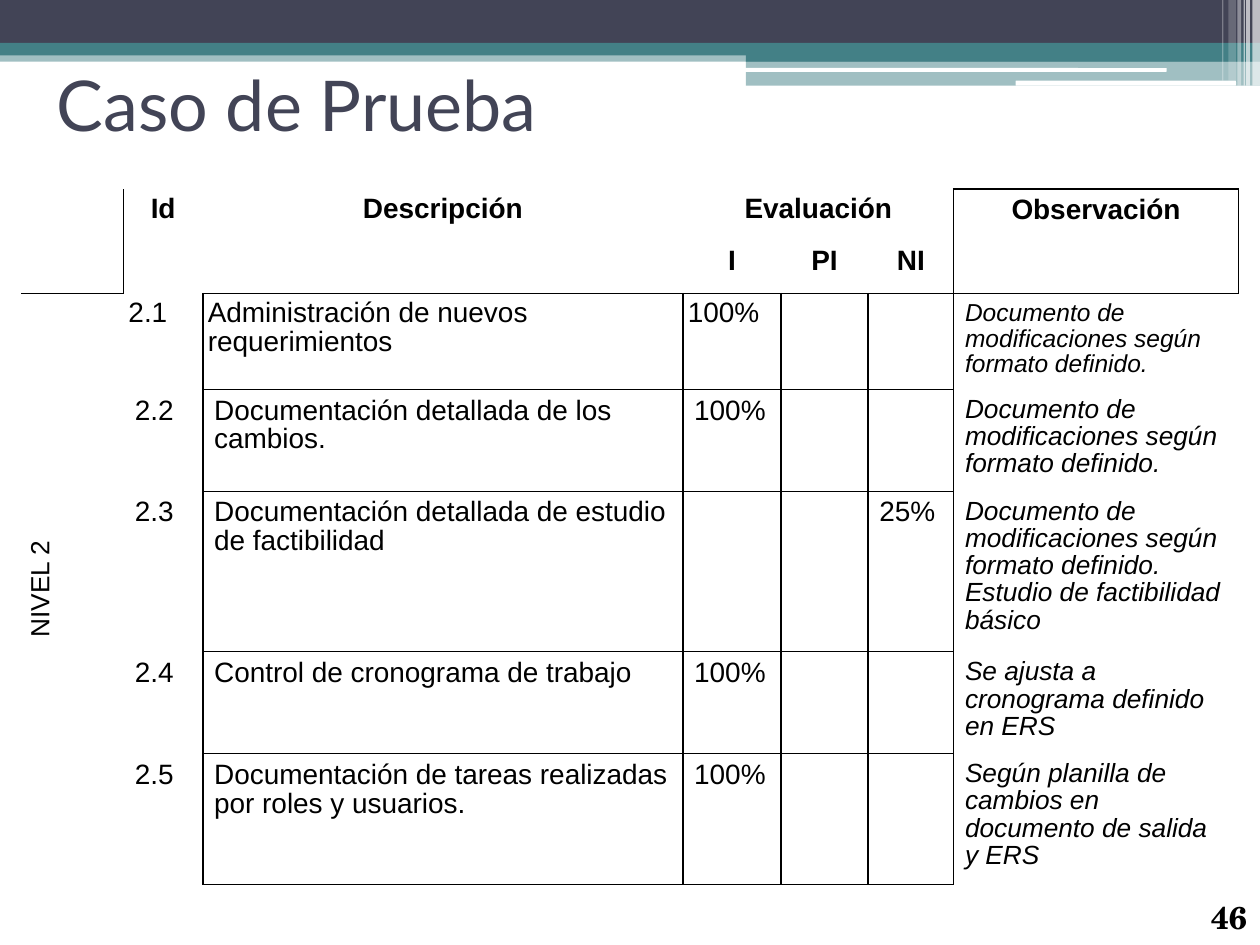
from dataclasses import dataclass

from lxml.etree import SubElement
from pptx import Presentation
from pptx.dml.color import RGBColor
from pptx.enum.shapes import MSO_SHAPE
from pptx.enum.text import MSO_ANCHOR, PP_ALIGN
from pptx.oxml import parse_xml
from pptx.oxml.ns import nsdecls, qn
from pptx.util import Inches, Pt


@dataclass(frozen=True)
class Theme:
    """Colours, fonts and type sizes of the slide."""
    dark: str = "424456"
    teal: str = "438086"
    white: str = "FFFFFF"
    ink: str = "000000"
    title_font: str = "Lato"
    body_font: str = "Arial"
    number_font: str = "TeX Gyre Schola"
    title: int = 40
    number: int = 18
    body: int = 16
    note: int = 15
    small_note: int = 14


T = Theme()
WIDTH, HEIGHT = Inches(10), Inches(7.5)
GRID_COLS, GRID_ROWS = 1000, 750
TIGHT = (0.04, 0.05, 0.04, 0.04)
LOOSE = (0.09, 0.06, 0.09, 0.05)

BANDS = [
    (0, 40, 1000, 9, T.teal, 50),
    (0, 0, 1000, 34, T.dark, 100),
    (0, 34, 1000, 10, T.teal, 100),
    (592, 39, 408, 10, T.teal, 100),
    (592, 48, 408, 20, T.teal, 50),
]
PILLS = [(591, 54, 335, 3), (806, 64, 175, 4)]
STRIPES = [
    (994, 0, 6, 68, T.white, 65),
    (989, 0, 3, 68, T.white, 65),
    (987, 0, 1, 68, T.white, 60),
    (982, 0, 3, 68, T.white, 40),
    (975, 0, 6, 64, T.white, 20),
    (970, 0, 1, 64, T.white, 30),
]
COL_WIDTHS = [81, 63, 381, 78, 69, 68, 226]
ROW_HEIGHTS = [41, 42, 74, 78, 123, 78, 97]
MERGES = [(0, 1, 1, 1), (0, 2, 1, 2), (0, 3, 0, 5), (0, 6, 1, 6), (2, 0, 6, 0)]
MODIFICATIONS = "Documento de modificaciones según formato definido."
ROWS = [
    ["", "Id", "Descripción", "Evaluación", "", "", "Observación"],
    ["", "", "", "I", "PI", "NI", ""],
    ["NIVEL 2", "2.1", "Administración de nuevos requerimientos", "100%", "", "",
     MODIFICATIONS],
    ["", "2.2", "Documentación detallada de los cambios.", "100%", "", "",
     MODIFICATIONS],
    ["", "2.3", "Documentación detallada de estudio de factibilidad", "", "", "25%",
     MODIFICATIONS + " Estudio de factibilidad básico"],
    ["", "2.4", "Control de cronograma de trabajo", "100%", "", "",
     "Se ajusta a cronograma definido en ERS"],
    ["", "2.5", "Documentación de tareas realizadas por roles y usuarios.", "100%", "", "",
     "Según planilla de cambios en documento de salida y ERS"],
]


def across(cols):
    """Return the width of a number of grid columns."""
    return WIDTH * cols // GRID_COLS


def down(rows):
    """Return the height of a number of grid rows."""
    return HEIGHT * rows // GRID_ROWS


def place(x, y, w, h):
    """Turn a grid position into slide lengths."""
    return across(x), down(y), across(w), down(h)


def write(tf, text, font=T.body_font, size=T.body, color=T.ink, bold=False,
          italic=False, align=PP_ALIGN.LEFT, spacing=None):
    """Put one formatted run into a text frame."""
    p = tf.paragraphs[0]
    p.alignment = align
    p.line_spacing = spacing
    r = p.add_run()
    r.text = text
    r.font.name, r.font.size = font, Pt(size)
    r.font.bold, r.font.italic = bold, italic
    r.font.color.rgb = RGBColor.from_string(color)


def set_margins(box, insets):
    """Set the left, top, right and bottom insets of a cell or text frame."""
    (box.margin_left, box.margin_top,
     box.margin_right, box.margin_bottom) = map(Inches, insets)


def add_bar(slide, x, y, w, h, color, opacity=100, kind=MSO_SHAPE.RECTANGLE):
    """Add a borderless bar with a given opacity in percent."""
    sp = slide.shapes.add_shape(kind, *place(x, y, w, h))
    sp.shadow.inherit = False
    sp.line.fill.background()
    sp.fill.solid()
    sp.fill.fore_color.rgb = RGBColor.from_string(color)
    if opacity < 100:
        clr = sp.fill._xPr.find(".//" + qn("a:srgbClr"))
        SubElement(clr, qn("a:alpha"), val=str(opacity * 1000))


def add_label(slide, at, text, insets, anchor=MSO_ANCHOR.TOP, wrap=True, **fmt):
    """Add a text box holding one formatted line."""
    tf = slide.shapes.add_textbox(*place(*at)).text_frame
    tf.word_wrap = wrap
    tf.vertical_anchor = anchor
    set_margins(tf, insets)
    write(tf, text, **fmt)


def is_framed(row, col):
    """Tell whether a cell is ruled on every side."""
    return (2 <= row < len(ROWS) and 2 <= col <= 5) or (0 <= row < 2 and col == 6)


def ruled_sides(row, col):
    """Return the ruled sides of a cell, shared with its neighbours."""
    neighbours = {"L": (row, col - 1), "R": (row, col + 1),
                  "T": (row - 1, col), "B": (row + 1, col)}
    sides = {s for s, n in neighbours.items() if is_framed(row, col) or is_framed(*n)}
    corner = {(0, 0): "R", (1, 0): "RB", (0, 1): "L", (1, 1): "L", (2, 0): "T"}
    return sides | set(corner.get((row, col), ""))


def set_borders(cell, sides):
    """Rule the given sides of a cell and clear the others."""
    tc_pr = cell._tc.get_or_add_tcPr()
    for i, side in enumerate("LRTB"):
        fill = (f'<a:solidFill><a:srgbClr val="{T.ink}"/></a:solidFill>'
                if side in sides else "<a:noFill/>")
        tc_pr.insert(i, parse_xml(
            f'<a:ln{side} {nsdecls("a")} w="{Pt(1)}">{fill}</a:ln{side}>'))


def cell_format(row, col):
    """Return the text format for a table position."""
    if row < 2:
        return dict(bold=True, align=PP_ALIGN.CENTER)
    if col == 0:
        return dict(size=T.note, align=PP_ALIGN.CENTER)
    if col == 6:
        return dict(size=T.small_note if row == 2 else T.note, italic=True)
    return {}


def add_cases(slide):
    """Add the table of test cases."""
    at = place(17, 150, sum(COL_WIDTHS), sum(ROW_HEIGHTS))
    table = slide.shapes.add_table(len(ROWS), len(COL_WIDTHS), *at).table
    table.first_row = table.horz_banding = False
    for column, width in zip(table.columns, COL_WIDTHS):
        column.width = across(width)
    for row, height in zip(table.rows, ROW_HEIGHTS):
        row.height = down(height)
    for top, left, bottom, right in MERGES:
        table.cell(top, left).merge(table.cell(bottom, right))
    for r, texts in enumerate(ROWS):
        for c, text in enumerate(texts):
            cell = table.cell(r, c)
            cell.fill.background()
            set_margins(cell, TIGHT if r <= 2 and c < 6 else LOOSE)
            set_borders(cell, ruled_sides(r, c))
            if text:
                write(cell.text_frame, text, spacing=0.93, **cell_format(r, c))
    level = table.cell(2, 0)
    level.vertical_anchor = MSO_ANCHOR.MIDDLE
    level._tc.get_or_add_tcPr().set("vert", "vert270")


def main():
    """Build and save the slide."""
    prs = Presentation()
    prs.slide_width, prs.slide_height = WIDTH, HEIGHT
    slide = prs.slides.add_slide(prs.slide_layouts[6])
    for band in BANDS:
        add_bar(slide, *band)
    for pill in PILLS:
        add_bar(slide, *pill, T.white, kind=MSO_SHAPE.ROUNDED_RECTANGLE)
    for stripe in STRIPES:
        add_bar(slide, *stripe)
    add_label(slide, (36, 13, 929, 139), "Caso de Prueba", (0.09, 0.04, 0.09, 0.05),
              anchor=MSO_ANCHOR.MIDDLE, font=T.title_font, size=T.title, color=T.dark)
    add_label(slide, (952, 707, 48, 43), "46", (0.09, 0.06, 0.09, 0.04), wrap=False,
              font=T.number_font, size=T.number, bold=True)
    add_cases(slide)
    prs.save("out.pptx")


if __name__ == "__main__":
    main()
